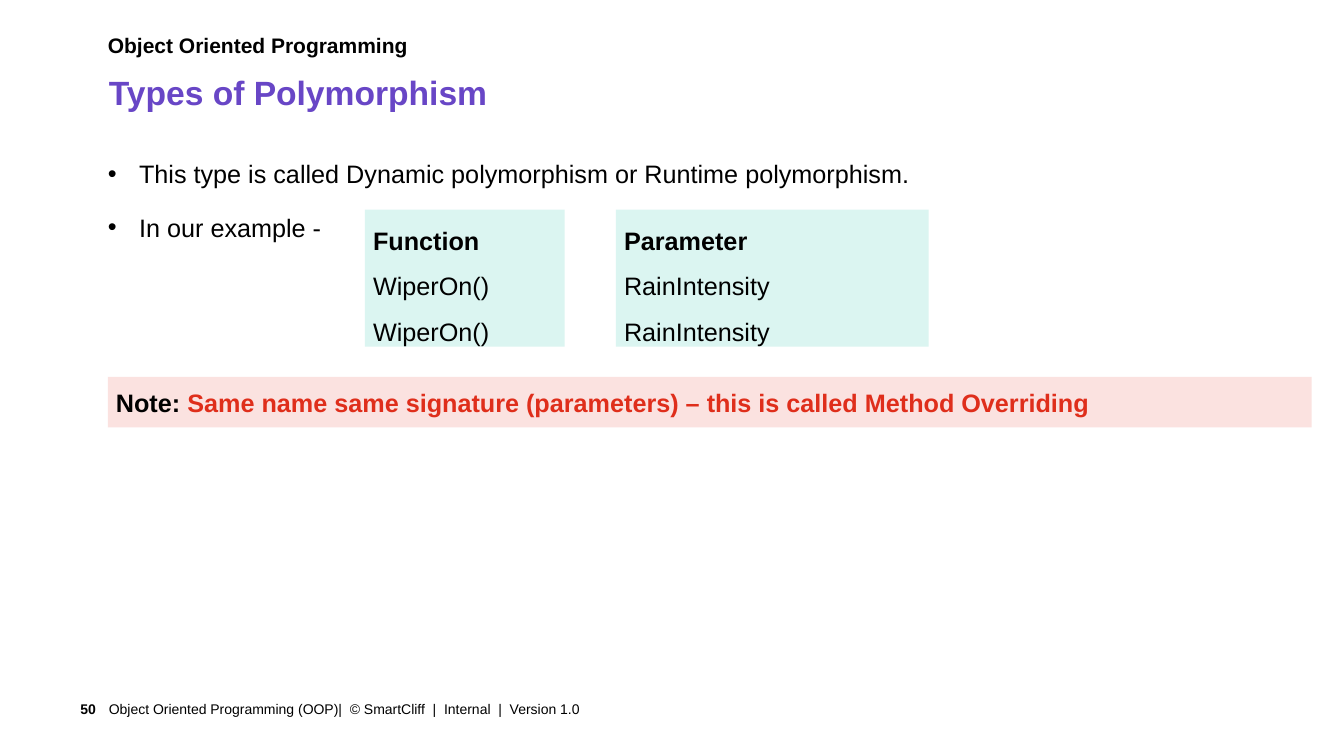
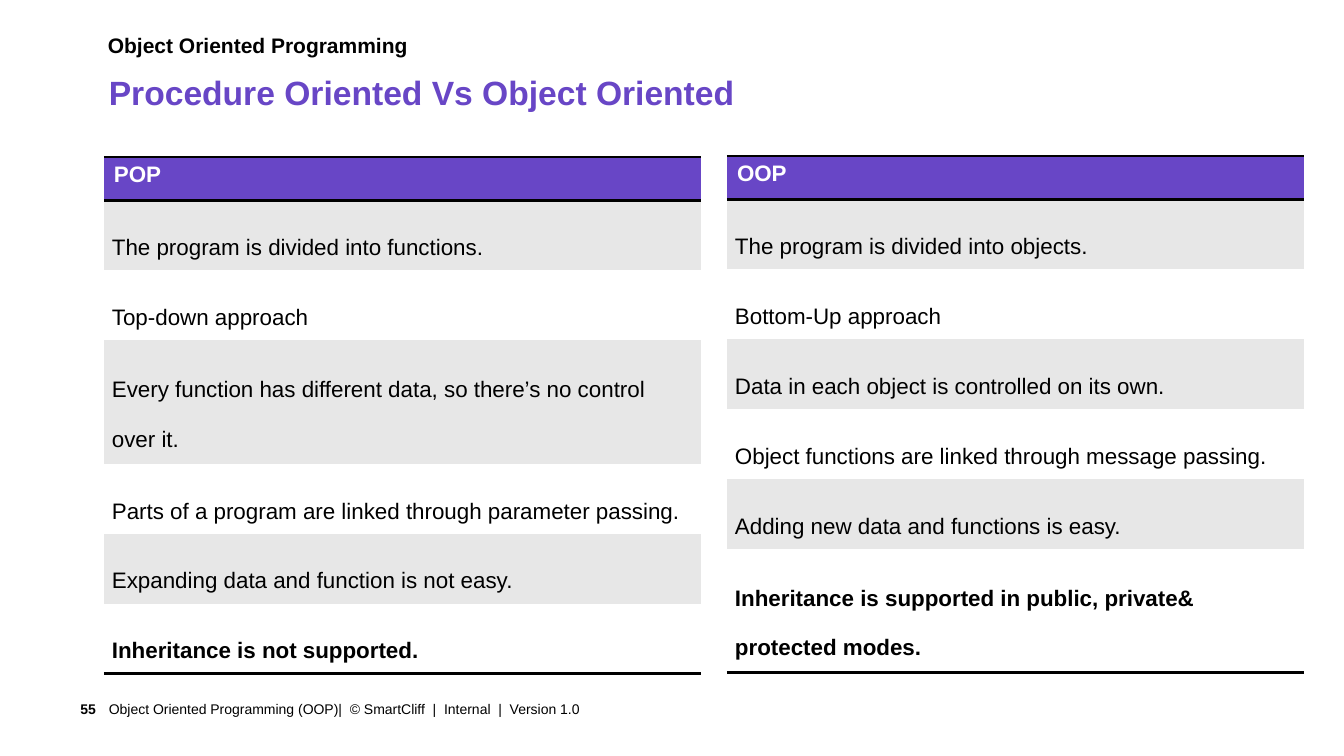
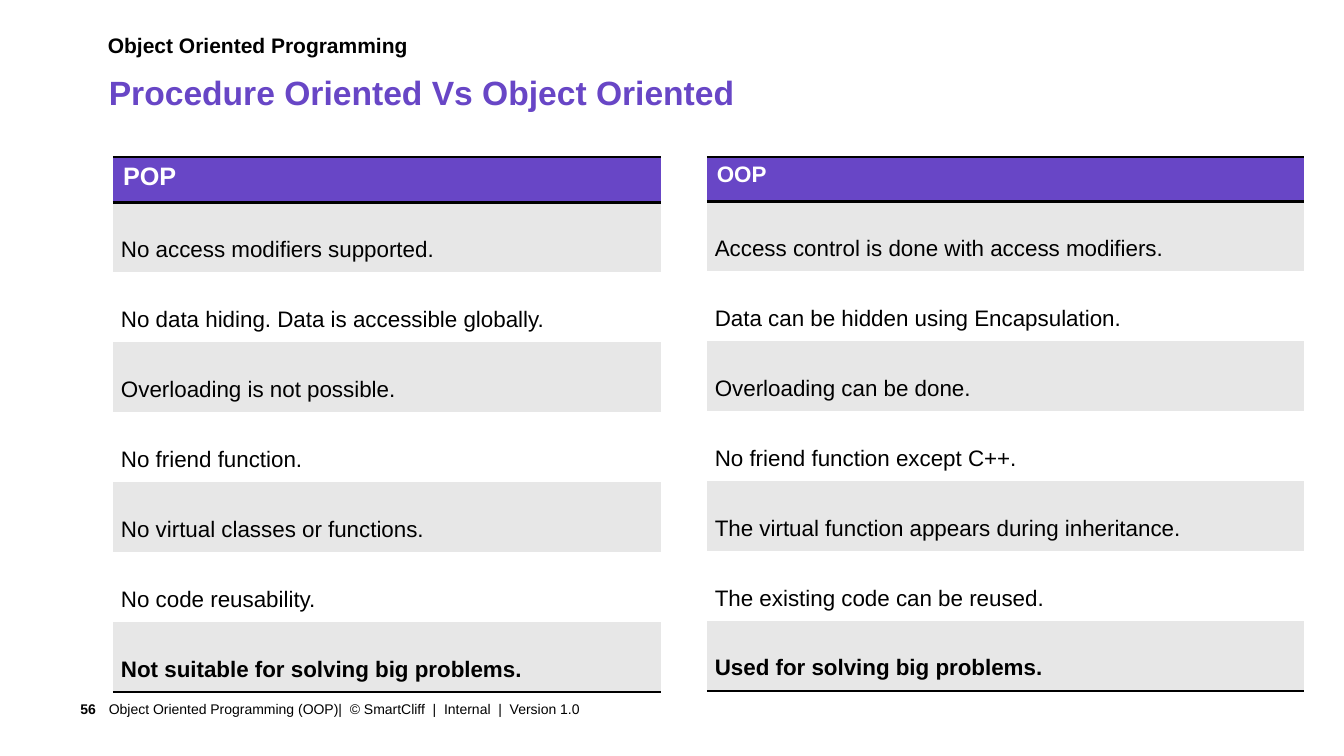
"""Build three slides on polymorphism and on procedural versus object oriented programming."""
from dataclasses import dataclass

import pptx
import pptx.dml.color
import pptx.enum.shapes
import pptx.enum.text
import pptx.oxml.ns
import pptx.util
from lxml import etree

EMU_PER_PX = 9144
ALIGN = pptx.enum.text.PP_ALIGN
ANCHOR = pptx.enum.text.MSO_ANCHOR


@dataclass(frozen=True)
class Theme:
    """Colours, font and type sizes shared by the slides."""
    font: str = "Arial"
    black: str = "000000"
    white: str = "FFFFFF"
    purple: str = "6846C6"
    mint: str = "DBF5F1"
    pink: str = "FBE2E0"
    red: str = "DF2E1B"
    grey: str = "E7E7E7"
    title: int = 24
    body: int = 18
    cell: int = 16
    chapter: int = 15
    footer: int = 10
    rule: int = 2


THEME = Theme()
CHAPTER = "Object Oriented Programming"
FOOTER = "Object Oriented Programming (OOP)|  © SmartCliff  |  Internal  |  Version 1.0"
COMPARISON = "Procedure Oriented Vs Object Oriented"
LEFT, CONTENT_WIDTH = 107, 1194
ROW_HEIGHT, TALL_ROW_HEIGHT = 66, 115
BOX_INSETS = (8, 8, 8, 8)

POP_BASICS = [
    "The program is divided into functions.",
    "Top-down approach",
    "Every function has different data, so there’s no control over it.",
    "Parts of a program are linked through parameter passing.",
    "Expanding data and function is not easy.",
    "Inheritance is not supported.",
]
OOP_BASICS = [
    "The program is divided into objects.",
    "Bottom-Up approach",
    "Data in each object is controlled on its own.",
    "Object functions are linked through message passing.",
    "Adding new data and functions is easy.",
    "Inheritance is supported in public, private& protected modes.",
]
POP_FEATURES = [
    "No access modifiers supported.",
    "No data hiding. Data is accessible globally.",
    "Overloading is not possible.",
    "No friend function.",
    "No virtual classes or functions.",
    "No code reusability.",
    "Not suitable for solving big problems.",
]
OOP_FEATURES = [
    "Access control is done with access modifiers.",
    "Data can be hidden using Encapsulation.",
    "Overloading can be done.",
    "No friend function except C++.",
    "The virtual function appears during inheritance.",
    "The existing code can be reused.",
    "Used for solving big problems.",
]


def px(value):
    """Turn a length in px into EMU."""
    return pptx.util.Emu(value * EMU_PER_PX)


def rgb(value):
    """Turn a hex string into a colour."""
    return pptx.dml.color.RGBColor.from_string(value)


def style_run(run, size, color=THEME.black, bold=False):
    """Set the font of one run."""
    run.font.name = THEME.font
    run.font.size = pptx.util.Pt(size)
    run.font.bold = bold
    run.font.color.rgb = rgb(color)


def set_margins(target, insets):
    """Set the left, top, right and bottom insets of a text frame or cell."""
    (target.margin_left, target.margin_top,
     target.margin_right, target.margin_bottom) = map(px, insets)


def fill_solid(target, color):
    """Give a shape or cell a plain fill."""
    target.fill.solid()
    target.fill.fore_color.rgb = rgb(color)


def write_lines(text_frame, lines, size, color=THEME.black, align=ALIGN.LEFT,
                spacing=1.0, bold_first=False, bold=False):
    """Write one paragraph for each line."""
    text_frame.text = "\n".join(lines)
    for index, paragraph in enumerate(text_frame.paragraphs):
        paragraph.alignment = align
        paragraph.line_spacing = spacing
        for run in paragraph.runs:
            style_run(run, size, color, bold or (bold_first and index == 0))


def add_text(slide, box, lines, size, insets=(0, 0, 0, 0), anchor=ANCHOR.TOP, **style):
    """Add a wrapped text box."""
    text_frame = slide.shapes.add_textbox(*map(px, box)).text_frame
    text_frame.word_wrap = True
    text_frame.vertical_anchor = anchor
    set_margins(text_frame, insets)
    write_lines(text_frame, lines, size, **style)
    return text_frame


def add_bullets(slide, box, lines):
    """Add a bulleted list."""
    text_frame = add_text(slide, box, lines, THEME.body, align=ALIGN.JUSTIFY, spacing=1.5)
    for index, paragraph in enumerate(text_frame.paragraphs):
        if index:
            paragraph.space_before = pptx.util.Pt(6)
        properties = paragraph._p.get_or_add_pPr()
        properties.set("marL", str(px(31)))
        properties.set("indent", str(-px(31)))
        font = etree.SubElement(properties, pptx.oxml.ns.qn("a:buFont"))
        font.set("typeface", THEME.font)
        bullet = etree.SubElement(properties, pptx.oxml.ns.qn("a:buChar"))
        bullet.set("char", "•")


def add_panel(slide, box, color):
    """Add a filled rectangle and return its text frame."""
    shape = slide.shapes.add_shape(
        pptx.enum.shapes.MSO_SHAPE.RECTANGLE, *map(px, box))
    shape.shadow.inherit = False
    shape.line.fill.background()
    fill_solid(shape, color)
    text_frame = shape.text_frame
    text_frame.word_wrap = True
    text_frame.vertical_anchor = ANCHOR.MIDDLE
    set_margins(text_frame, BOX_INSETS)
    return text_frame


def add_note(slide, box, label, message):
    """Add a highlighted note with a label."""
    paragraph = add_panel(slide, box, THEME.pink).paragraphs[0]
    paragraph.alignment = ALIGN.JUSTIFY
    for text, color in ((label, THEME.black), (message, THEME.red)):
        run = paragraph.add_run()
        run.text = text
        style_run(run, THEME.body, color, bold=True)


def add_border(cell, *sides):
    """Draw black rules on the given sides of a cell, named in reverse schema order."""
    for side in sides:
        line = etree.Element(pptx.oxml.ns.qn(f"a:{side}"))
        line.set("w", str(pptx.util.Pt(THEME.rule)))
        fill = etree.SubElement(line, pptx.oxml.ns.qn("a:solidFill"))
        etree.SubElement(fill, pptx.oxml.ns.qn("a:srgbClr")).set("val", THEME.black)
        cell._tc.get_or_add_tcPr().insert(0, line)


def add_list_table(slide, left, top, width, heading, lines, header_height,
                   heading_size=THEME.cell, tall_line=None):
    """Add a one-column striped table whose last line is bold."""
    heights = [header_height] + [
        TALL_ROW_HEIGHT if index == tall_line else ROW_HEIGHT
        for index in range(len(lines))]
    box = (left, top, width, sum(heights))
    table = slide.shapes.add_table(len(heights), 1, *map(px, box)).table
    table.first_row = table.horz_banding = False
    style = table._tbl.tblPr.find(pptx.oxml.ns.qn("a:tableStyleId"))
    style.text = "{2D5ABB26-0587-4C30-8999-92F81FD0307C}"
    for row, height in zip(table.rows, heights):
        row.height = px(height)

    header = table.cell(0, 0)
    write_lines(header.text_frame, [heading], heading_size, THEME.white, bold=True)
    fill_solid(header, THEME.purple)
    add_border(header, "lnB", "lnT")

    for index, line in enumerate(lines):
        cell = table.cell(index + 1, 0)
        set_margins(cell, BOX_INSETS)
        cell.vertical_anchor = ANCHOR.MIDDLE
        write_lines(cell.text_frame, [line], THEME.cell, spacing=2.0,
                    bold=index == len(lines) - 1)
        cell.text_frame.paragraphs[0].space_after = pptx.util.Pt(8)
        fill_solid(cell, THEME.white if index % 2 else THEME.grey)
    add_border(cell, "lnB")


def add_slide(presentation, title, number):
    """Add a slide with its chapter, title, number and footer."""
    slide = presentation.slides.add_slide(presentation.slide_layouts[6])
    add_text(slide, (LEFT, 32, CONTENT_WIDTH, 41), [CHAPTER], THEME.chapter, bold=True)
    add_text(slide, (108, 71, CONTENT_WIDTH, 42), [title], THEME.title,
             color=THEME.purple, bold=True)
    add_text(slide, (42, 688, 65, 31), [str(number)], THEME.footer, (10, 5, 12, 5),
             ANCHOR.MIDDLE, align=ALIGN.RIGHT, bold=True)
    add_text(slide, (108, 688, 936, 31), [FOOTER], THEME.footer, (0, 5, 10, 5),
             ANCHOR.MIDDLE)
    return slide


def build_polymorphism(presentation):
    """Build the slide on dynamic polymorphism."""
    slide = add_slide(presentation, "Types of Polymorphism", 50)
    add_bullets(slide, (LEFT, 142, CONTENT_WIDTH, 517), [
        "This type is called Dynamic polymorphism or Runtime polymorphism.",
        "In our example -",
    ])
    for left, width, heading, entry in (
            (362, 198, "Function", "WiperOn()"),
            (611, 310, "Parameter", "RainIntensity")):
        panel = add_panel(slide, (left, 208, width, 136), THEME.mint)
        write_lines(panel, [heading, entry, entry], THEME.body, align=ALIGN.JUSTIFY,
                    spacing=1.5, bold_first=True)
    add_note(slide, (LEFT, 374, CONTENT_WIDTH, 50), "Note: ",
             "Same name same signature (parameters) – this is called Method Overriding")


def build_basics(presentation):
    """Build the first comparison slide."""
    slide = add_slide(presentation, COMPARISON, 55)
    add_list_table(slide, 103, 156, 592, "POP", POP_BASICS, 43, tall_line=2)
    add_list_table(slide, 721, 155, 572, "OOP", OOP_BASICS, 43, tall_line=5)


def build_features(presentation):
    """Build the second comparison slide."""
    slide = add_slide(presentation, COMPARISON, 56)
    add_list_table(slide, 112, 156, 544, "POP", POP_FEATURES, 45,
                   heading_size=THEME.body)
    add_list_table(slide, 701, 156, 592, "OOP", OOP_FEATURES, 44)


def main():
    """Build and save the presentation."""
    presentation = pptx.Presentation()
    presentation.slide_width = px(1333)
    presentation.slide_height = px(750)
    build_polymorphism(presentation)
    build_basics(presentation)
    build_features(presentation)
    presentation.save("out.pptx")


if __name__ == "__main__":
    main()
